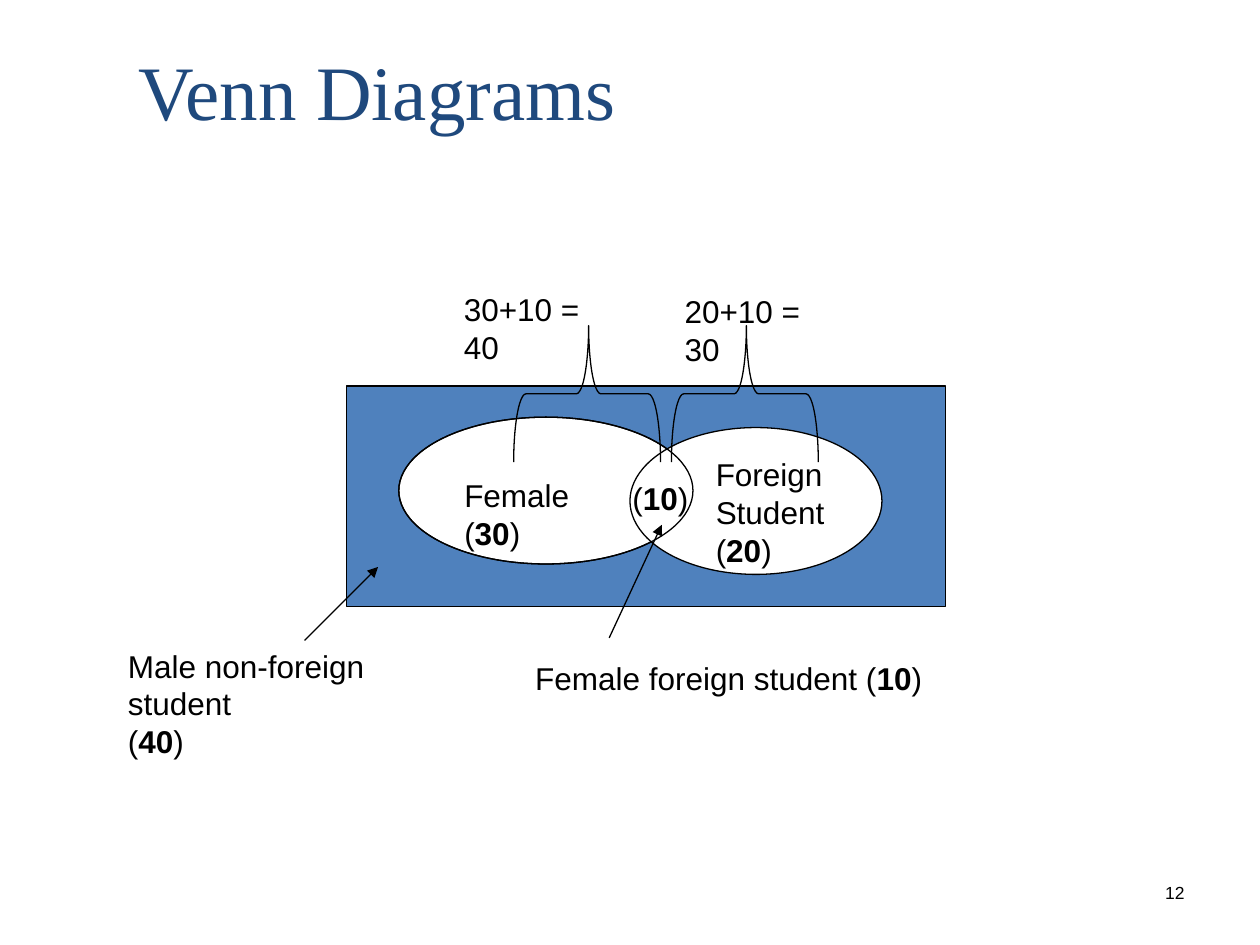
"""Build the Venn diagram slide."""
from dataclasses import dataclass

from lxml.etree import SubElement
from pptx import Presentation
from pptx.dml.color import RGBColor
from pptx.enum.shapes import MSO_CONNECTOR as Link, MSO_SHAPE as Kind
from pptx.enum.text import MSO_ANCHOR as Anchor, MSO_AUTO_SIZE as Auto, PP_ALIGN as Align
from pptx.oxml.ns import qn
from pptx.shapes.autoshape import Shape
from pptx.slide import Slide
from pptx.text.text import _Paragraph as Para
from pptx.util import Cm, Pt

BLACK = RGBColor(0x00, 0x00, 0x00)
WHITE = RGBColor(0xFF, 0xFF, 0xFF)
BLUE = RGBColor(0x4F, 0x81, 0xBD)
NAVY = RGBColor(0x1F, 0x49, 0x7D)
THIN = Pt(0.75)


@dataclass
class Box:
    left: float
    top: float
    width: float
    height: float

    def spot(self) -> tuple[Cm, Cm, Cm, Cm]:
        return Cm(self.left), Cm(self.top), Cm(self.width), Cm(self.height)


@dataclass
class Form:
    kind: Kind
    box: Box
    fill: RGBColor | None = None


@dataclass
class Label:
    box: Box
    lines: list[str]


@dataclass
class Arrow:
    start: tuple[float, float]
    end: tuple[float, float]


FEMALE = Box(8.04, 8.41, 5.93, 2.96)
FORMS = [
    Form(Kind.RECTANGLE, Box(6.99, 7.78, 12.07, 4.45), BLUE),
    Form(Kind.OVAL, FEMALE, WHITE),
    Form(Kind.OVAL, Box(12.7, 8.62, 5.08, 2.96), WHITE),
    Form(Kind.OVAL, FEMALE),
]
BRACES = [Box(left, 6.46, 2.75, 2.96) for left in (10.46, 13.64)]
LABELS = [
    Label(Box(9.11, 9.48, 2.62, 1.78), ["Female", "(30)"]),
    Label(Box(14.18, 9.05, 2.69, 2.54), ["Foreign", "Student", "(20)"]),
    Label(Box(10.54, 13.16, 8.31, 1.02), ["Female foreign student (10)"]),
    Label(Box(12.5, 9.53, 1.63, 1.02), ["(10)"]),
    Label(Box(9.1, 5.72, 3.71, 1.02), ["30+10 = 40"]),
    Label(Box(13.55, 5.77, 3.71, 1.02), ["20+10 = 30"]),
    Label(Box(2.33, 12.91, 7.52, 1.78), ["Male non-foreign student", "(40)"]),
]
ARROWS = [
    Arrow((12.28, 12.86), (13.34, 10.58)),
    Arrow((6.14, 12.91), (7.62, 11.43)),
]


def style(para: Para, size: int, color: RGBColor = BLACK, name: str = "Arial") -> None:
    para.font.size = Pt(size)
    para.font.name = name
    para.font.color.rgb = color


def add_form(slide: Slide, form: Form) -> Shape:
    shape = slide.shapes.add_shape(form.kind, *form.box.spot())
    shape.shadow.inherit = False
    shape.line.color.rgb = BLACK
    shape.line.width = THIN
    if form.fill is None:
        shape.fill.background()
    else:
        shape.fill.solid()
        shape.fill.fore_color.rgb = form.fill
    return shape


def add_brace(slide: Slide, box: Box) -> None:
    brace = add_form(slide, Form(Kind.LEFT_BRACE, box))
    brace.rotation = 90
    brace.adjustments[0] = 0.09
    brace.adjustments[1] = 0.49


def add_label(slide: Slide, label: Label) -> None:
    frame = slide.shapes.add_textbox(*label.box.spot()).text_frame
    frame.word_wrap = False
    frame.auto_size = Auto.SHAPE_TO_FIT_TEXT
    for row, line in enumerate(label.lines):
        para = frame.add_paragraph() if row else frame.paragraphs[0]
        style(para, 18)
        head, mark, tail = line.partition("(")
        para.add_run().text = head + mark
        if mark:
            count = para.add_run()
            count.text = tail.rstrip(")")
            count.font.bold = True
            para.add_run().text = ")"


def add_arrow(slide: Slide, arrow: Arrow) -> None:
    ends = [Cm(n) for n in arrow.start + arrow.end]
    line = slide.shapes.add_connector(Link.STRAIGHT, *ends)
    line.line.color.rgb = BLACK
    line.line.width = THIN
    SubElement(line.line._get_or_add_ln(), qn("a:tailEnd"), type="triangle")
    SubElement(line._element.spPr, qn("a:effectLst"))


def add_title(slide: Slide, text: str) -> None:
    title = slide.shapes.title
    title.left, title.top, title.width, title.height = Box(2.54, 0.76, 21.59, 3.18).spot()
    frame = title.text_frame
    frame.text = text
    frame.auto_size = Auto.NONE
    frame.vertical_anchor = Anchor.TOP
    para = frame.paragraphs[0]
    para.alignment = Align.LEFT
    style(para, 44, NAVY, "Times New Roman")


def add_number(slide: Slide, text: str) -> None:
    frame = slide.shapes.add_textbox(*Box(18.85, 17.36, 5.28, 1.27).spot()).text_frame
    frame.word_wrap = True
    frame.vertical_anchor = Anchor.MIDDLE
    frame.text = text
    para = frame.paragraphs[0]
    para.alignment = Align.RIGHT
    style(para, 10)


def main() -> None:
    deck = Presentation()
    deck.slide_width, deck.slide_height = Cm(25.4), Cm(19.05)
    slide = deck.slides.add_slide(deck.slide_layouts[5])
    add_number(slide, "12")
    add_title(slide, "Venn Diagrams")
    for form in FORMS:
        add_form(slide, form)
    for label in LABELS:
        add_label(slide, label)
    for box in BRACES:
        add_brace(slide, box)
    for arrow in ARROWS:
        add_arrow(slide, arrow)
    deck.save("out.pptx")


if __name__ == "__main__":
    main()
